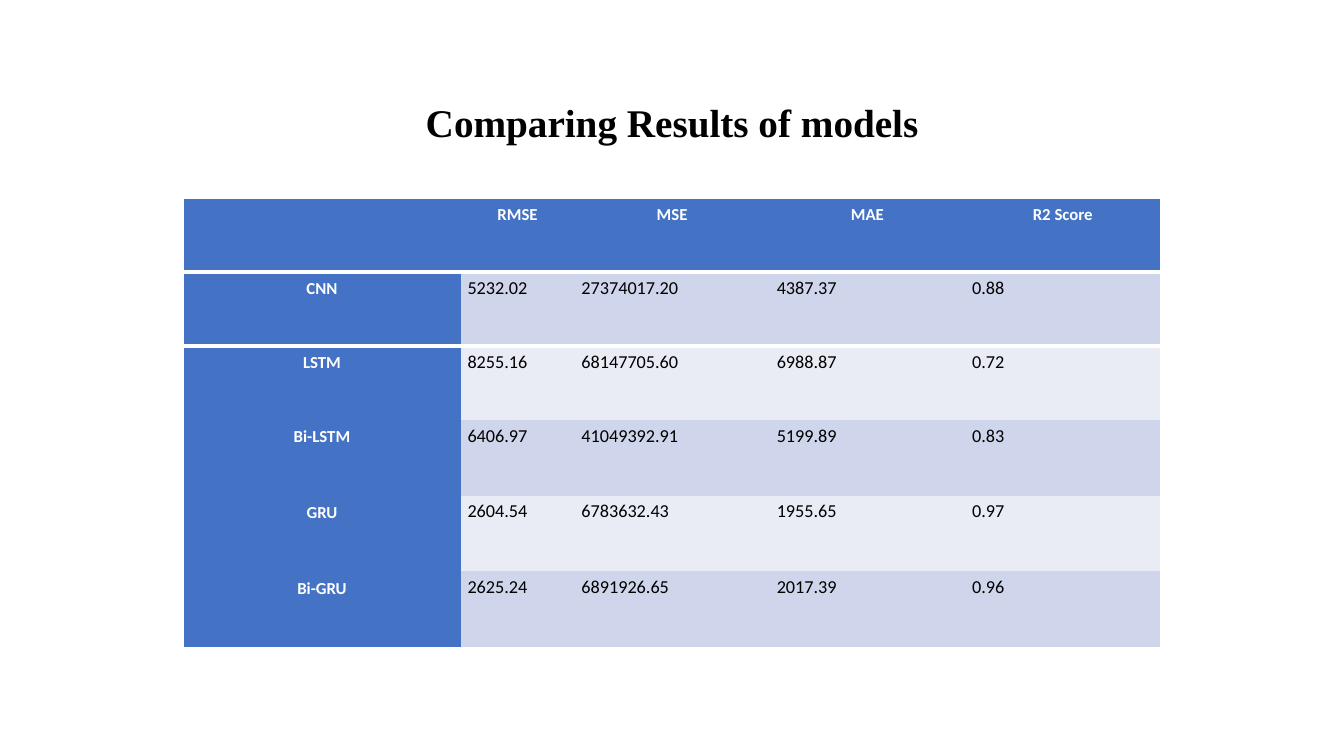
from lxml.etree import SubElement
from pptx import Presentation
from pptx.dml.color import RGBColor
from pptx.enum.text import MSO_AUTO_SIZE, PP_ALIGN
from pptx.oxml.ns import qn
from pptx.util import Pt

WHITE = RGBColor(0xFF, 0xFF, 0xFF)
BLACK = RGBColor(0x00, 0x00, 0x00)
HEADER_BLUE = RGBColor(0x44, 0x72, 0xC4)
BAND_DARK = RGBColor(0xCF, 0xD5, 0xEA)
BAND_LIGHT = RGBColor(0xE9, 0xEB, 0xF5)

PLAIN_TABLE_STYLE = "{2D5ABB26-0587-4C30-8999-92F81FD0307C}"
COLUMN_WIDTHS = [198, 81.4, 139.5, 139.5, 139.5]
ROW_HEIGHTS = [52.8] * 3 + [54.2] * 3
RESULTS = [
    ["", "RMSE", "MSE", "MAE", "R2 Score"],
    ["CNN", "5232.02", "27374017.20", "4387.37", "0.88"],
    ["LSTM", "8255.16", "68147705.60", "6988.87", "0.72"],
    ["Bi-LSTM", "6406.97", "41049392.91", "5199.89", "0.83"],
    ["GRU", "2604.54", "6783632.43", "1955.65", "0.97"],
    ["Bi-GRU", "2625.24", "6891926.65", "2017.39", "0.96"],
]


def style_paragraph(para, font_name, size, color, bold, alignment):
    para.alignment = alignment
    para.font.name = font_name
    para.font.size = Pt(size)
    para.font.color.rgb = color
    para.font.bold = bold


def add_title(page, text):
    box = page.shapes.add_textbox(Pt(240), Pt(67), Pt(480), Pt(41))
    frame = box.text_frame
    frame.word_wrap = True
    frame.auto_size = MSO_AUTO_SIZE.SHAPE_TO_FIT_TEXT
    frame.text = text
    style_paragraph(frame.paragraphs[0], "Times New Roman", 28, BLACK, True, PP_ALIGN.CENTER)


def add_border(cell, side, width):
    properties = cell._tc.get_or_add_tcPr()
    line = SubElement(properties, qn(f"a:ln{side}"), w=str(Pt(width)))
    fill = SubElement(line, qn("a:solidFill"))
    SubElement(fill, qn("a:srgbClr"), val=str(WHITE))


def add_cell_borders(cell, row, column):
    last_row, last_column = len(RESULTS) - 1, len(COLUMN_WIDTHS) - 1
    if column == 0:
        add_border(cell, "L", 1)
    if column == last_column:
        add_border(cell, "R", 1)
    if row in (0, 1):
        add_border(cell, "T", 1 if row == 0 else 3)
    if row in (0, last_row):
        add_border(cell, "B", 3 if row == 0 else 1)


def fill_cell(cell, row, column, text):
    is_heading = row == 0 or column == 0
    add_cell_borders(cell, row, column)
    cell.fill.solid()
    band = BAND_DARK if row % 2 else BAND_LIGHT
    cell.fill.fore_color.rgb = HEADER_BLUE if is_heading else band
    cell.margin_left = cell.margin_right = Pt(5)
    cell.margin_top = cell.margin_bottom = Pt(0)
    cell.text = text
    para = cell.text_frame.paragraphs[0]
    para.line_spacing = Pt(19.5)
    if is_heading:
        style_paragraph(para, "Calibri", 12, WHITE, True, PP_ALIGN.CENTER)
    else:
        style_paragraph(para, "Calibri", 13, BLACK, False, PP_ALIGN.JUSTIFY)


def add_results_table(page):
    frame = page.shapes.add_table(
        len(RESULTS), len(COLUMN_WIDTHS), Pt(131), Pt(141.4),
        Pt(sum(COLUMN_WIDTHS)), Pt(sum(ROW_HEIGHTS)))
    table = frame.table
    table._tbl.tblPr.find(qn("a:tableStyleId")).text = PLAIN_TABLE_STYLE
    table.horz_banding = False
    table.first_col = True
    for column, width in zip(table.columns, COLUMN_WIDTHS):
        column.width = Pt(width)
    for row, height in zip(table.rows, ROW_HEIGHTS):
        row.height = Pt(height)
    for row, values in enumerate(RESULTS):
        for column, text in enumerate(values):
            fill_cell(table.cell(row, column), row, column, text)


def main():
    deck = Presentation()
    deck.slide_width, deck.slide_height = Pt(960), Pt(540)
    page = deck.slides.add_slide(deck.slide_layouts[6])
    add_title(page, "Comparing Results of models")
    add_results_table(page)
    deck.save("out.pptx")


if __name__ == "__main__":
    main()
